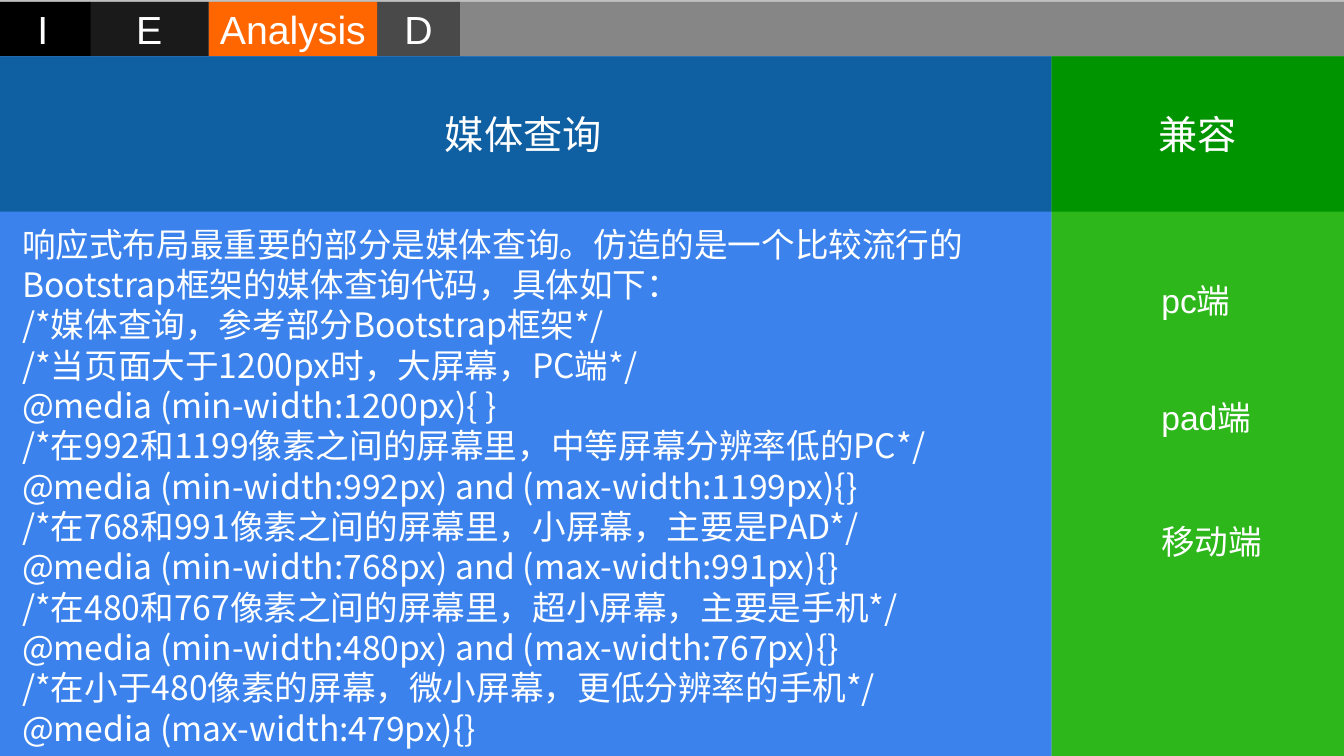
from dataclasses import dataclass

from lxml.etree import SubElement
from pptx import Presentation
from pptx.dml.color import RGBColor
from pptx.enum.shapes import MSO_SHAPE
from pptx.enum.text import MSO_ANCHOR, MSO_AUTO_SIZE, PP_ALIGN
from pptx.oxml.ns import qn
from pptx.slide import Slide
from pptx.text.text import TextFrame
from pptx.util import Inches, Pt

WHITE = "FFFFFF"
LATIN_FONT = "Arial"
CHINESE_FONT = "Noto Sans CJK SC"


@dataclass
class Block:
    left: float
    top: float
    width: float
    height: float
    color: str
    opacity: int = 100
    label: str = ""


@dataclass
class Note:
    left: float
    top: float
    width: float
    height: float
    lines: list[str]
    font_name: str = LATIN_FONT


TAB_TOP, TAB_HEIGHT = 0.02, 0.54
PANEL_TOP, PANEL_HEIGHT, HEADER_HEIGHT = 0.56, 6.99, 1.54

BLOCKS = [
    Block(-0.05, TAB_TOP, 13.39, TAB_HEIGHT, "000000", 30),
    Block(3.74, TAB_TOP, 0.82, TAB_HEIGHT, "000000", 45, "D"),
    Block(2.07, TAB_TOP, 1.67, TAB_HEIGHT, "FF6600", label="Analysis"),
    Block(0.89, TAB_TOP, 1.18, TAB_HEIGHT, "000000", 80, "E"),
    Block(-0.05, TAB_TOP, 0.95, TAB_HEIGHT, "000000", label="I"),
    Block(-0.06, PANEL_TOP, 10.49, PANEL_HEIGHT, "3B82ED"),
    Block(-0.05, PANEL_TOP, 10.48, HEADER_HEIGHT, "0F5FA3", label="媒体查询"),
    Block(10.43, PANEL_TOP, 2.9, PANEL_HEIGHT, "2DB71B"),
    Block(10.43, PANEL_TOP, 2.9, HEADER_HEIGHT, "009400", label="兼容"),
]

MEDIA_QUERY_LINES = [
    "响应式布局最重要的部分是媒体查询。仿造的是一个比较流行的Bootstrap框架的媒体查询代码，具体如下：",
    "/*媒体查询，参考部分Bootstrap框架*/",
    "/*当页面大于1200px时，大屏幕，PC端*/",
    "@media (min-width:1200px){ }",
    "/*在992和1199像素之间的屏幕里，中等屏幕分辨率低的PC*/",
    "@media (min-width:992px) and (max-width:1199px){}",
    "/*在768和991像素之间的屏幕里，小屏幕，主要是PAD*/",
    "@media (min-width:768px) and (max-width:991px){}",
    "/*在480和767像素之间的屏幕里，超小屏幕，主要是手机*/",
    "@media (min-width:480px) and (max-width:767px){}",
    "/*在小于480像素的屏幕，微小屏幕，更低分辨率的手机*/",
    "@media (max-width:479px){}",
]

NOTES = [
    Note(0.12, 2.17, 9.85, 5.35, MEDIA_QUERY_LINES, CHINESE_FONT),
    Note(11.42, 2.73, 1.28, 0.5, ["pc端"]),
    Note(11.42, 3.89, 1.28, 0.5, ["pad端"]),
    Note(11.42, 5.12, 1.28, 0.5, ["移动端"]),
]


def rgb(color: str) -> RGBColor:
    return RGBColor.from_string(color)


def write_lines(frame: TextFrame, lines: list[str], size: int,
                font_name: str, alignment: PP_ALIGN) -> None:
    frame.text = "\n".join(lines)
    for paragraph in frame.paragraphs:
        paragraph.alignment = alignment
        paragraph.font.size = Pt(size)
        paragraph.font.name = font_name
        paragraph.font.color.rgb = rgb(WHITE)


def add_block(slide: Slide, block: Block) -> None:
    shape = slide.shapes.add_shape(
        MSO_SHAPE.RECTANGLE, Inches(block.left), Inches(block.top),
        Inches(block.width), Inches(block.height))
    shape.shadow.inherit = False
    shape.line.fill.background()
    shape.fill.solid()
    shape.fill.fore_color.rgb = rgb(block.color)
    if block.opacity < 100:
        fill_color = shape.element.spPr.find(qn("a:solidFill"))[0]
        SubElement(fill_color, qn("a:alpha"), val=str(block.opacity * 1000))
    if block.label:
        frame = shape.text_frame
        frame.word_wrap = False
        frame.vertical_anchor = MSO_ANCHOR.MIDDLE
        write_lines(frame, [block.label], 28, LATIN_FONT, PP_ALIGN.CENTER)


def add_note(slide: Slide, note: Note) -> None:
    box = slide.shapes.add_textbox(
        Inches(note.left), Inches(note.top),
        Inches(note.width), Inches(note.height))
    frame = box.text_frame
    frame.word_wrap = True
    frame.auto_size = MSO_AUTO_SIZE.SHAPE_TO_FIT_TEXT
    write_lines(frame, note.lines, 24, note.font_name, PP_ALIGN.LEFT)


def main() -> None:
    presentation = Presentation()
    presentation.slide_width = Inches(13.33)
    presentation.slide_height = Inches(7.5)
    slide = presentation.slides.add_slide(presentation.slide_layouts[6])
    slide.background.fill.solid()
    slide.background.fill.fore_color.rgb = rgb("C0C0C0")
    for block in BLOCKS:
        add_block(slide, block)
    for note in NOTES:
        add_note(slide, note)
    presentation.save("out.pptx")


if __name__ == "__main__":
    main()
